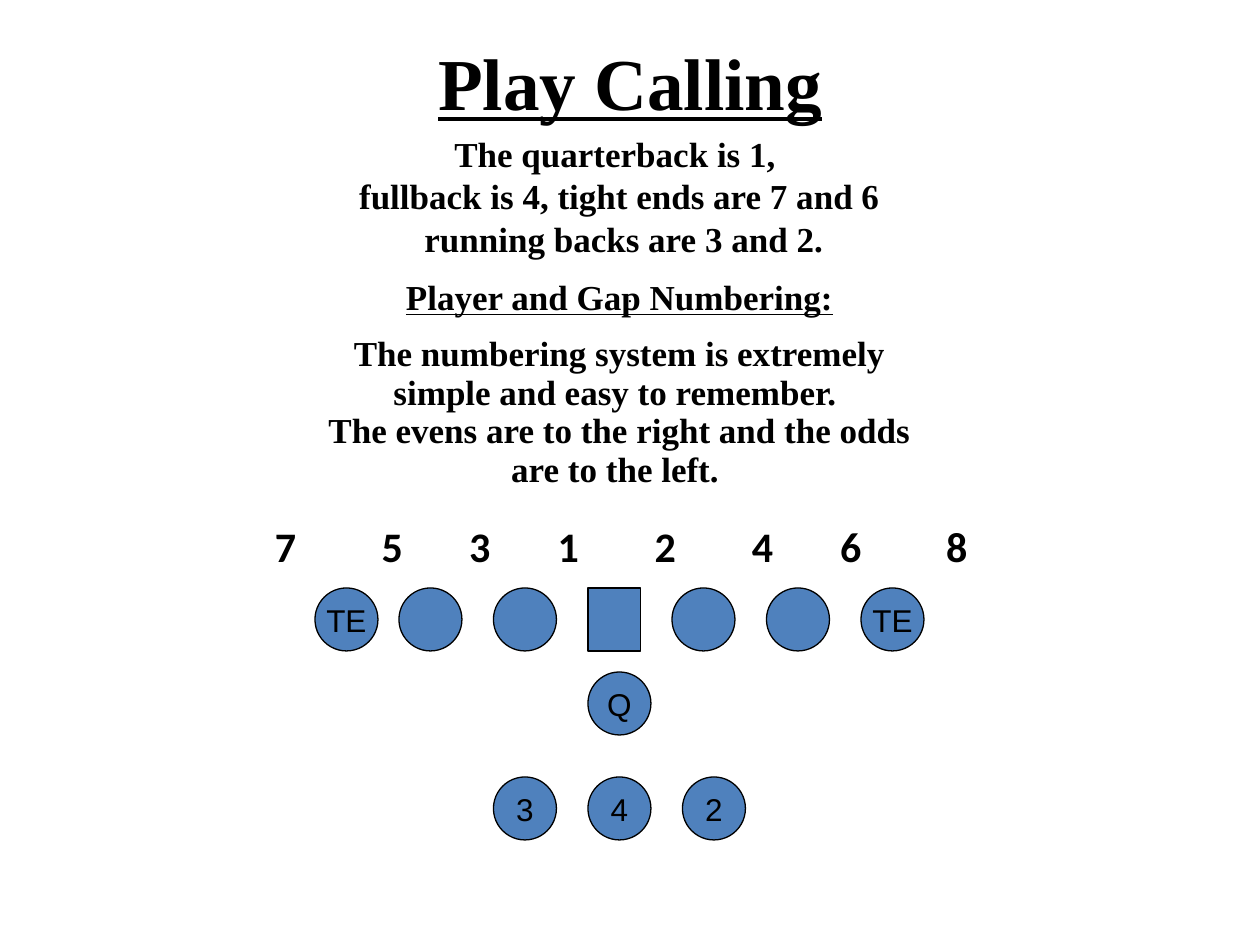
from pptx import Presentation
from pptx.dml.color import RGBColor
from pptx.enum.shapes import MSO_SHAPE as SHAPE
from pptx.enum.text import MSO_ANCHOR as ANCHOR, MSO_AUTO_SIZE as AUTO, PP_ALIGN as ALIGN
from pptx.util import Pt
from lxml.etree import SubElement

BLACK = RGBColor(0x00, 0x00, 0x00)
BLUE = RGBColor(0x4F, 0x81, 0xBD)
SERIF = "Times New Roman"

# Content: text, size, bold, underline, line spacing, space before
ROLES = [("The quarterback is 1, \v fullback is 4, tight ends are 7 and 6 \v"
          " running backs are 3 and 2.", 20, True, False, 24, 0)]
HEADING = [("Play Calling", 41.8, True, True, None, 5),
           (".", 11, False, False, None, 90)]
NUMBERING = [("Player and Gap Numbering:", 20, True, True, 22, 0),
             ("The numbering system is extremely simple and easy to remember. \v"
              "The evens are to the right and the odds are to the left. ",
              20, True, False, 22, 10)]
GAPS = ["7", "5", "3", "1", "2", "4", "6", "8"]
GAP_TABS = [61, 111, 161.5, 217, 272.5, 323, 383.5]

# Formation: row top, then (label, left) for each player
PLAYER = 36
CENTER = (336, 336, 30, PLAYER)
FORMATION = [
    (336, [("TE", 180), ("", 228), ("", 282), ("", 384), ("", 438), ("TE", 492)]),
    (384, [("Q", 336)]),
    (444, [("3", 282), ("4", 336), ("2", 390)]),
]


def place(sp, left, top, width, height):
    sp.left, sp.top, sp.width, sp.height = map(Pt, (left, top, width, height))


def style(p, font, size, bold=False, underline=False):
    for r in p.runs:
        f = r.font
        f.name, f.size, f.bold, f.underline = font, Pt(size), bold, underline
        f.color.rgb = BLACK


def write(sp, paragraphs, anchor=ANCHOR.TOP):
    tf = sp.text_frame
    tf.word_wrap, tf.auto_size, tf.vertical_anchor = True, AUTO.NONE, anchor
    for i, (text, size, bold, underline, spacing, before) in enumerate(paragraphs):
        p = tf.add_paragraph() if i else tf.paragraphs[0]
        p.text, p.alignment, p.space_before = text, ALIGN.CENTER, Pt(before)
        if spacing:
            p.line_spacing = Pt(spacing)
        style(p, SERIF, size, bold, underline)


def add_player(s, kind, box, label=""):
    sp = s.shapes.add_shape(kind, *map(Pt, box))
    sp.shadow.inherit = False
    sp.fill.solid()
    sp.fill.fore_color.rgb = BLUE
    sp.line.color.rgb, sp.line.width = BLACK, Pt(0.75)
    if label:
        tf = sp.text_frame
        tf.text, tf.word_wrap, tf.vertical_anchor = label, False, ANCHOR.MIDDLE
        p = tf.paragraphs[0]
        p.alignment = ALIGN.CENTER
        style(p, "Arial", 18)


prs = Presentation()
prs.slide_width, prs.slide_height = Pt(720), Pt(540)
s = prs.slides.add_slide(prs.slide_layouts[0])

# Headings and explanation
title, subtitle = s.placeholders
place(title, 48, 54, 612, 116)
write(title, ROLES, ANCHOR.MIDDLE)
place(subtitle, 108, 18, 504, 138)
write(subtitle, HEADING)
write(s.shapes.add_textbox(Pt(174), Pt(156), Pt(360), Pt(128)), NUMBERING)

# Formation
add_player(s, SHAPE.RECTANGLE, CENTER)
for top, players in FORMATION:
    for label, left in players:
        add_player(s, SHAPE.OVAL, (left, top, PLAYER, PLAYER), label)

# Gap numbers on tab stops
tf = s.shapes.add_textbox(Pt(150), Pt(294), Pt(522), Pt(36)).text_frame
tf.word_wrap = True
p = tf.paragraphs[0]
p.text = "\t".join(GAPS)
style(p, "Calibri", 24, True)
pPr = p._p.get_or_add_pPr()
ns = pPr.tag[:pPr.tag.index("}") + 1]
tabs = SubElement(pPr, ns + "tabLst")
for pos in GAP_TABS:
    SubElement(tabs, ns + "tab", pos=str(Pt(pos)), algn="l")

prs.save("out.pptx")
